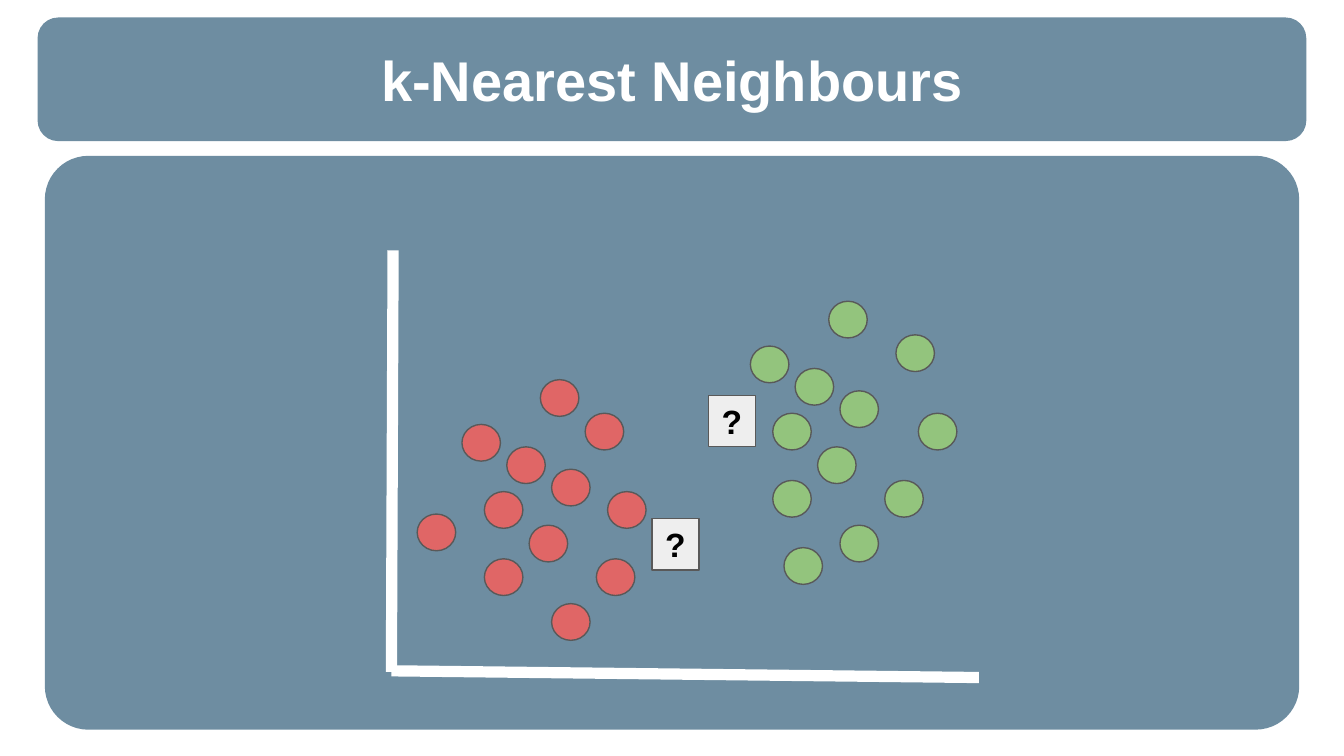
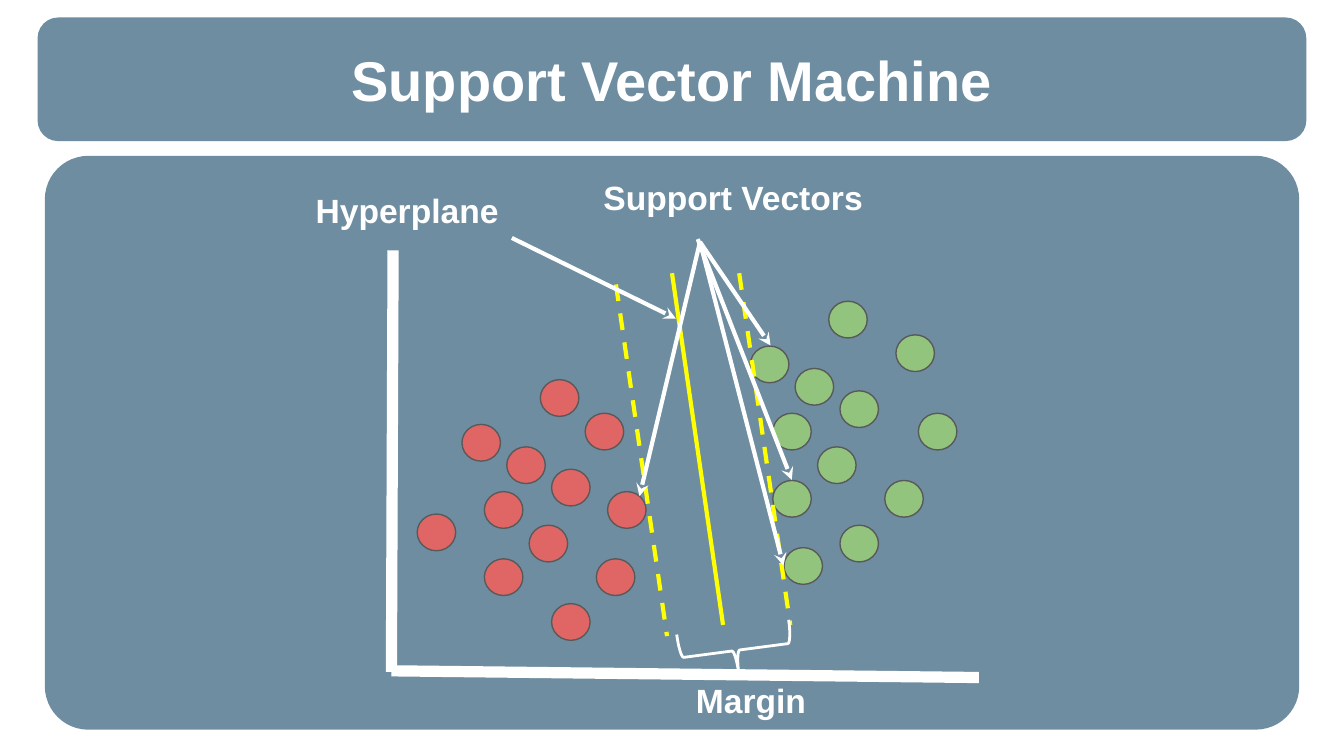
from lxml import etree
from pptx import Presentation
from pptx.dml.color import RGBColor
from pptx.enum.dml import MSO_LINE
from pptx.enum.shapes import MSO_CONNECTOR, MSO_SHAPE
from pptx.enum.text import MSO_ANCHOR, PP_ALIGN
from pptx.oxml.ns import qn
from pptx.util import Inches, Pt

ROUNDED, OVAL, RECT, BRACE = (MSO_SHAPE.ROUNDED_RECTANGLE, MSO_SHAPE.OVAL,
                              MSO_SHAPE.RECTANGLE, MSO_SHAPE.LEFT_BRACE)
STRAIGHT, DASH = MSO_CONNECTOR.STRAIGHT, MSO_LINE.DASH
TOP, MIDDLE = MSO_ANCHOR.TOP, MSO_ANCHOR.MIDDLE
LEFT, CENTER = PP_ALIGN.LEFT, PP_ALIGN.CENTER

COLORS = {"band": "215170", "white": "FFFFFF", "black": "000000", "red": "E06666",
          "green": "93C47D", "outline": "595959", "unknown": "EEEEEE", "boundary": "FFFF00"}

deck = Presentation()
deck.slide_width, deck.slide_height = Inches(10), Inches(5.625)
COLUMNS = 120
CELL = deck.slide_width / COLUMNS


def add_block(slide, kind, box, fill=None, outline=None, weight=0.75,
              text=None, size=18, color="white", align=LEFT, anchor=TOP):
    frame = [round(cells * CELL) for cells in box]
    if kind is None:
        block = slide.shapes.add_textbox(*frame)
    else:
        block = slide.shapes.add_shape(kind, *frame)
        block.shadow.inherit = False
        if fill:
            block.fill.solid()
            block.fill.fore_color.rgb = RGBColor.from_string(COLORS[fill])
        else:
            block.fill.background()
        if outline:
            block.line.color.rgb = RGBColor.from_string(COLORS[outline])
            block.line.width = Pt(weight)
        else:
            block.line.fill.background()
    if text:
        words = block.text_frame
        words.word_wrap = True
        words.vertical_anchor = anchor
        words.margin_left = words.margin_right = Inches(0.1)
        words.margin_top = words.margin_bottom = Inches(0.1)
        words.paragraphs[0].alignment = align
        run = words.paragraphs[0].add_run()
        run.text = text
        run.font.name, run.font.size, run.font.bold = "Arial", Pt(size), True
        run.font.color.rgb = RGBColor.from_string(COLORS[color])
    return block


def add_line(slide, start, end, color="white", weight=2.25, dash=None, arrow=False):
    line = slide.shapes.add_connector(STRAIGHT, *[round(c * CELL) for c in (*start, *end)])
    line.line.color.rgb = RGBColor.from_string(COLORS[color])
    line.line.width = Pt(weight)
    if dash:
        line.line.dash_style = dash
    if arrow:
        etree.SubElement(line.line._get_or_add_ln(), qn("a:tailEnd"), type="stealth")
    etree.SubElement(line._element.spPr, qn("a:effectLst"))


BANDS = [((3.36, 1.56, 113.28, 11.04), 0.167), ((4, 13.92, 112, 51.24), 0.076)]
DOT_TOP = 26.9
CLUSTERS = [
    ("red", 37.25, [(4, 11), (6, 17), (8, 13), (10, 20), (12, 15), (6, 23),
                    (16, 23), (0, 19), (12, 27), (17, 17), (15, 10), (11, 7)]),
    ("green", 67, [(0, 4), (2, 10), (4, 6), (6, 13), (8, 8), (2, 16),
                   (12, 16), (3, 22), (8, 20), (15, 10), (13, 3), (7, 0)]),
]
AXES = [((35.1, 22.35), (34.95, 60)), ((87.4, 60.5), (34.95, 59.9))]

slides = []
for title in ("k-Nearest Neighbours", "Support Vector Machine"):
    slide = deck.slides.add_slide(deck.slide_layouts[6])
    for box, rounding in BANDS:
        band = add_block(slide, ROUNDED, box, "band")
        band.adjustments[0] = rounding
        tint = band._element.spPr.find(qn("a:solidFill"))[0]
        etree.SubElement(tint, qn("a:alpha"), val="65000")
    add_block(slide, None, (4, 3.5, 112, 7.2), text=title, size=30,
              align=CENTER, anchor=MIDDLE)
    for color, origin, samples in CLUSTERS:
        for column, row in samples:
            add_block(slide, OVAL, (origin + column, DOT_TOP + row, 3.44, 3.28),
                      color, "outline")
    for start, end in AXES:
        add_line(slide, start, end, weight=6)
    slides.append(slide)

neighbours, vectors = slides

for left, top in [(63.24, 35.3), (58.2, 46.3)]:
    add_block(neighbours, RECT, (left, top, 4.2, 4.6), "unknown", "outline",
              text="?", color="black", anchor=MIDDLE)

for left, top, dash in [(66, 24.4, DASH), (55, 25.4, DASH), (60, 24.4, None)]:
    add_line(vectors, (left, top), (left + 4.56, top + 31.4), "boundary", dash=dash)

for text, left, top, width in [("Support Vectors", 52.7, 14.64, 28.1),
                               ("Margin", 60.96, 59.52, 14.64),
                               ("Hyperplane", 27, 15.72, 21.72)]:
    add_block(vectors, None, (left, top, width, 6.48), text=text)

margin_brace = add_block(vectors, BRACE, (63.6, 53.04, 4.2, 10.08), outline="white", weight=1.5)
margin_brace.adjustments[0] = 0.083
margin_brace.adjustments[1] = 0.5
margin_brace.rotation = 262.5

SOURCE = (62.5, 21.6)
for start, end in [(SOURCE, (57.1, 44.3)), (SOURCE, (68.8, 30.85)),
                   ((45.7, 21.25), (60.35, 28.45)), ((62.3, 21.35), (70.7, 42.85)),
                   (SOURCE, (69.95, 50.5))]:
    add_line(vectors, start, end, arrow=True)

deck.save("out.pptx")
